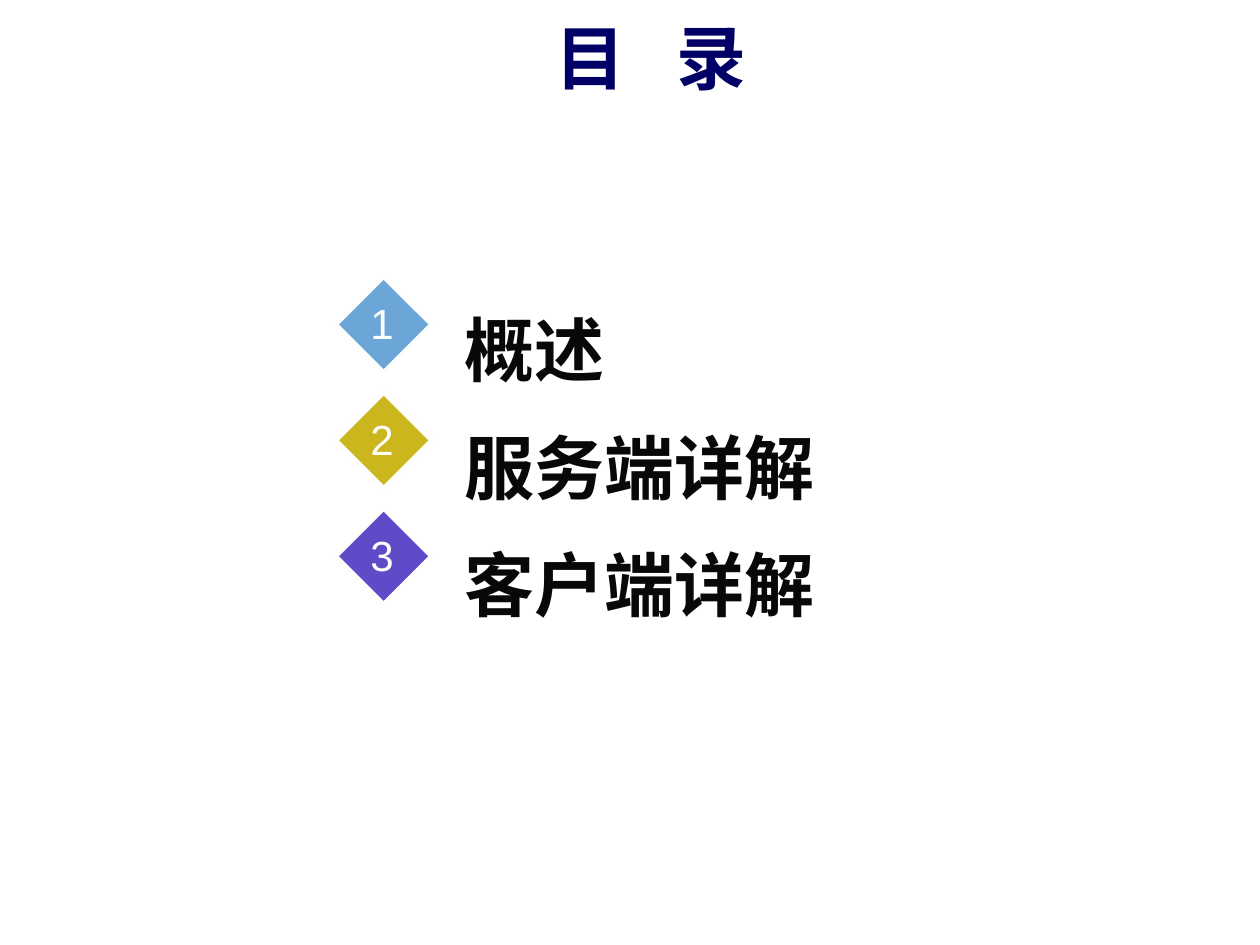
from dataclasses import dataclass

from pptx import Presentation
from pptx.dml.color import RGBColor
from pptx.enum import shapes, text
from pptx.util import Inches, Pt


@dataclass(frozen=True)
class Theme:
    heading_font: str = "Times New Roman"
    number_font: str = "Arial"
    heading_size: int = 40
    number_size: int = 24
    title_color: str = "000066"
    topic_color: str = "080808"
    light: str = "FEFEFE"
    markers: tuple = ("6CA5D8", "CBB61D", "5D4BC7")


THEME = Theme()
TOPICS = ("概述", "服务端详解", "客户端详解")
FIRST_MARKER_TOP = 2.2
MARKER_STEP = 0.92


def add_text_box(slide, left, top, width, height, wrap=True, grow=True):
    shape = slide.shapes.add_textbox(
        Inches(left), Inches(top), Inches(width), Inches(height))
    frame = shape.text_frame
    frame.word_wrap = wrap
    frame.auto_size = (text.MSO_AUTO_SIZE.SHAPE_TO_FIT_TEXT if grow
                       else text.MSO_AUTO_SIZE.NONE)
    return frame


def add_run(paragraph, words, font, size, color, bold=False):
    run = paragraph.add_run()
    run.text = words
    run.font.name = font
    run.font.size = Pt(size)
    run.font.bold = bold
    run.font.color.rgb = RGBColor.from_string(color)
    return run


def add_heading_run(paragraph, words, color):
    return add_run(paragraph, words, THEME.heading_font,
                   THEME.heading_size, color, bold=True)


def add_title(slide):
    frame = add_text_box(slide, 1.25, 0.12, 7.83, 0.65, grow=False)
    frame.vertical_anchor = text.MSO_ANCHOR.MIDDLE
    paragraph = frame.paragraphs[0]
    paragraph.alignment = text.PP_ALIGN.CENTER
    add_heading_run(paragraph, "目", THEME.title_color)
    gap = add_heading_run(paragraph, " ", THEME.title_color)
    gap.font._element.set("spc", "2000")
    add_heading_run(paragraph, "录", THEME.title_color)


def add_topics(slide):
    frame = add_text_box(slide, 3.59, 2.12, 3.75, 2.9)
    for index, topic in enumerate(TOPICS):
        paragraph = frame.add_paragraph() if index else frame.paragraphs[0]
        paragraph.line_spacing = 1.4
        add_heading_run(paragraph, topic, THEME.topic_color)


def add_marker(slide, number, top, color):
    diamond = slide.shapes.add_shape(
        shapes.MSO_SHAPE.DIAMOND,
        Inches(2.67), Inches(top), Inches(0.75), Inches(0.75))
    diamond.shadow.inherit = False
    diamond.fill.solid()
    diamond.fill.fore_color.rgb = RGBColor.from_string(color)
    diamond.line.color.rgb = RGBColor.from_string(THEME.light)
    diamond.line.width = Pt(2)

    frame = add_text_box(slide, 2.84, top + 0.11, 0.38, 0.5, wrap=False)
    paragraph = frame.paragraphs[0]
    paragraph.alignment = text.PP_ALIGN.CENTER
    add_run(paragraph, str(number), THEME.number_font,
            THEME.number_size, THEME.light)


def main():
    presentation = Presentation()
    presentation.slide_width = Inches(10)
    presentation.slide_height = Inches(7.5)
    slide = presentation.slides.add_slide(presentation.slide_layouts[6])
    add_title(slide)
    add_topics(slide)
    for index, color in enumerate(THEME.markers):
        add_marker(slide, index + 1,
                   FIRST_MARKER_TOP + index * MARKER_STEP, color)
    presentation.save("out.pptx")


if __name__ == "__main__":
    main()
